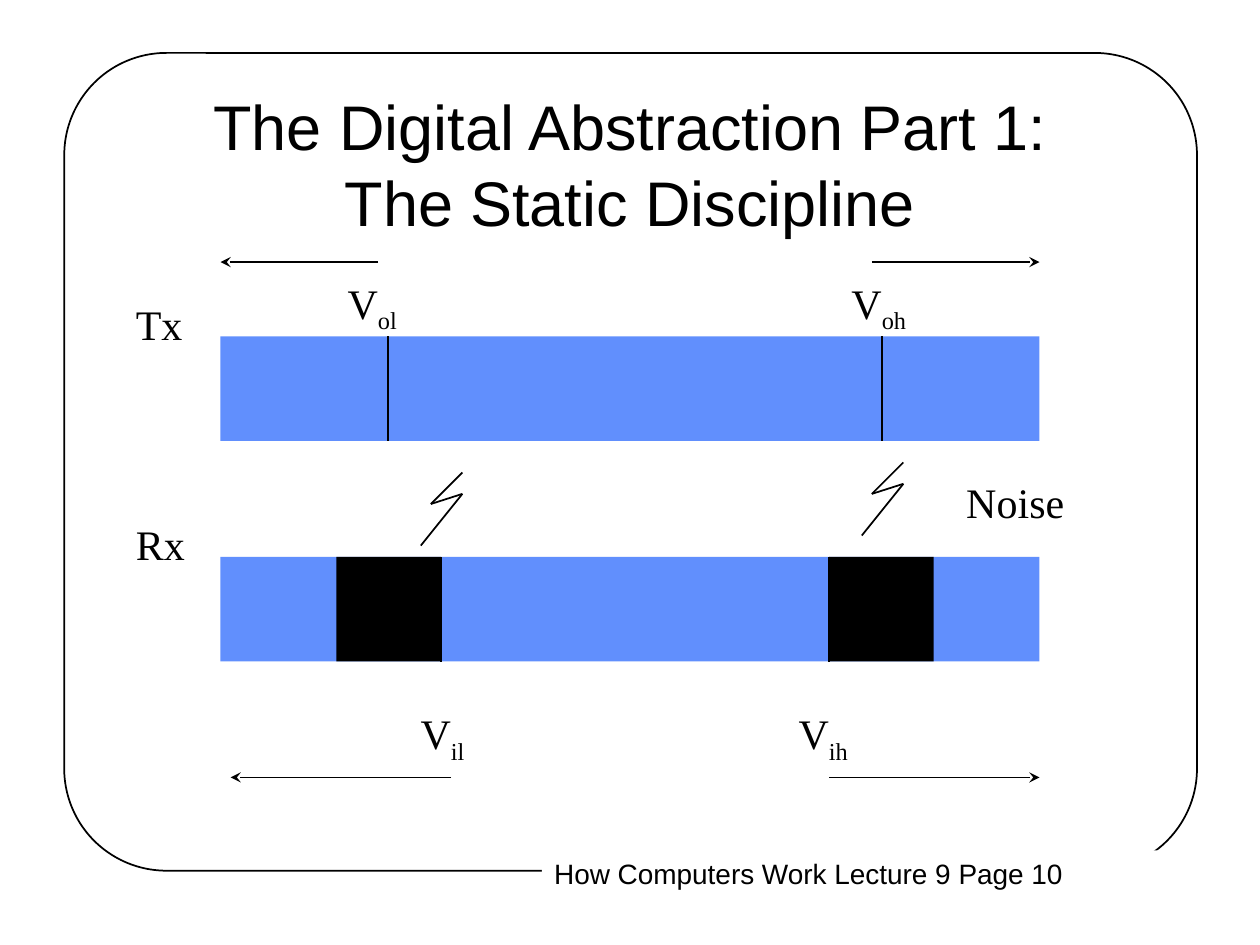
from dataclasses import dataclass

from lxml.etree import SubElement
from pptx import Presentation
from pptx.dml.color import RGBColor
from pptx.enum.shapes import MSO_CONNECTOR, MSO_SHAPE
from pptx.enum.text import MSO_ANCHOR, PP_ALIGN
from pptx.oxml.ns import qn
from pptx.util import Inches, Pt


@dataclass(frozen=True)
class Theme:
    ink: RGBColor = RGBColor(0x00, 0x00, 0x00)
    paper: RGBColor = RGBColor(0xFF, 0xFF, 0xFF)
    band: RGBColor = RGBColor(0x61, 0x8F, 0xFD)
    sans: str = "Arial"
    serif: str = "Times New Roman"
    title: Pt = Pt(36)
    label: Pt = Pt(24)
    footer: Pt = Pt(16)
    line: Pt = Pt(1)


class Deck:
    def __init__(self, prs, theme):
        self.theme = theme
        self.s = prs.slides.add_slide(prs.slide_layouts[6])

    def box(self, x, y, w, h, fill):
        sp = self.s.shapes.add_shape(
            MSO_SHAPE.RECTANGLE, Inches(x), Inches(y), Inches(w), Inches(h))
        sp.shadow.inherit = False
        sp.fill.solid()
        sp.fill.fore_color.rgb = fill
        sp.line.fill.background()

    def frame(self, x, y, w, h):
        sp = self.s.shapes.add_shape(
            MSO_SHAPE.ROUNDED_RECTANGLE, Inches(x), Inches(y), Inches(w), Inches(h))
        sp.adjustments[0] = 0.125
        sp.shadow.inherit = False
        sp.fill.background()
        sp.line.color.rgb = self.theme.ink
        sp.line.width = self.theme.line

    def line(self, start, end, arrow=False):
        cx = self.s.shapes.add_connector(
            MSO_CONNECTOR.STRAIGHT, *(Inches(v) for v in (*start, *end)))
        cx.line.color.rgb = self.theme.ink
        cx.line.width = self.theme.line
        if arrow:
            SubElement(cx.line._get_or_add_ln(), qn("a:tailEnd"), type="stealth")
        SubElement(cx._element.spPr, qn("a:effectLst"))

    def bolt(self, x, y):
        """Draw a noise zigzag whose top end is at (x, y)."""
        points = [(x + dx, y + dy)
                  for dx, dy in ((0, 0), (-0.25, 0.25), (0, 0.17), (-0.33, 0.58))]
        for start, end in zip(points, points[1:]):
            self.line(start, end)

    def text(self, x, y, w, h, text, sub="", wrap=False, fill=None,
             align=PP_ALIGN.LEFT, anchor=MSO_ANCHOR.TOP, **font):
        """Add text, with an optional subscript after it."""
        sp = self.s.shapes.add_textbox(Inches(x), Inches(y), Inches(w), Inches(h))
        if fill is not None:
            sp.fill.solid()
            sp.fill.fore_color.rgb = fill
        tf = sp.text_frame
        tf.word_wrap = wrap
        tf.vertical_anchor = anchor
        p = tf.paragraphs[0]
        p.alignment = align
        p.text = text
        if sub:
            r = p.add_run()
            r.text = sub
            r.font._element.set("baseline", "-25000")
        style = {"name": self.theme.serif, "size": self.theme.label, **font}
        for r in p.runs:
            r.font.color.rgb = self.theme.ink
            for key, value in style.items():
                setattr(r.font, key, value)


def main():
    prs = Presentation()
    prs.slide_width, prs.slide_height = Inches(10), Inches(7.5)
    theme = Theme()
    deck = Deck(prs, theme)

    deck.frame(0.51, 0.42, 8.99, 6.49)
    deck.text(4.3, 6.75, 5.01, 0.37, "How Computers Work Lecture 9 Page 10",
              wrap=True, fill=theme.paper, name=theme.sans, size=theme.footer)
    deck.text(0.75, 0.67, 8.5, 1.25,
              "The Digital Abstraction Part 1:\vThe Static Discipline",
              wrap=True, align=PP_ALIGN.CENTER, anchor=MSO_ANCHOR.MIDDLE,
              name=theme.sans, size=theme.title)

    left, right, band_h = 1.75, 8.25, 0.83
    tx_y, rx_y = 2.67, 4.42
    for name, y, w in (("Tx", tx_y, 0.57), ("Rx", rx_y, 0.59)):
        deck.box(left, y, right - left, band_h, theme.band)
        deck.text(0.98, y - 0.35, w, 0.5, name)

    for x in (3.08, 7):
        deck.line((x, tx_y), (x, tx_y + band_h))
    for x in (2.67, 6.58):
        deck.box(x, rx_y, band_h, band_h, theme.ink)
    for x in (3.5, 6.58):
        deck.line((x, rx_y), (x, rx_y + band_h))

    for x, y in ((3.67, 3.75), (7.17, 3.67)):
        deck.bolt(x, y)
    deck.text(7.57, 3.73, 0.98, 0.5, "Noise")

    for sub, x, y, w in (("ol", 2.66, 2.15, 0.59), ("oh", 6.66, 2.15, 0.64),
                         ("il", 3.24, 5.57, 0.55), ("ih", 6.24, 5.57, 0.59)):
        deck.text(x, y, w, 0.56, "V", sub)

    for start, end, y in ((3, left, 2.08), (6.92, right, 2.08),
                          (3.58, 1.83, 6.17), (6.58, right, 6.17)):
        deck.line((start, y), (end, y), arrow=True)

    prs.save("out.pptx")


if __name__ == "__main__":
    main()
